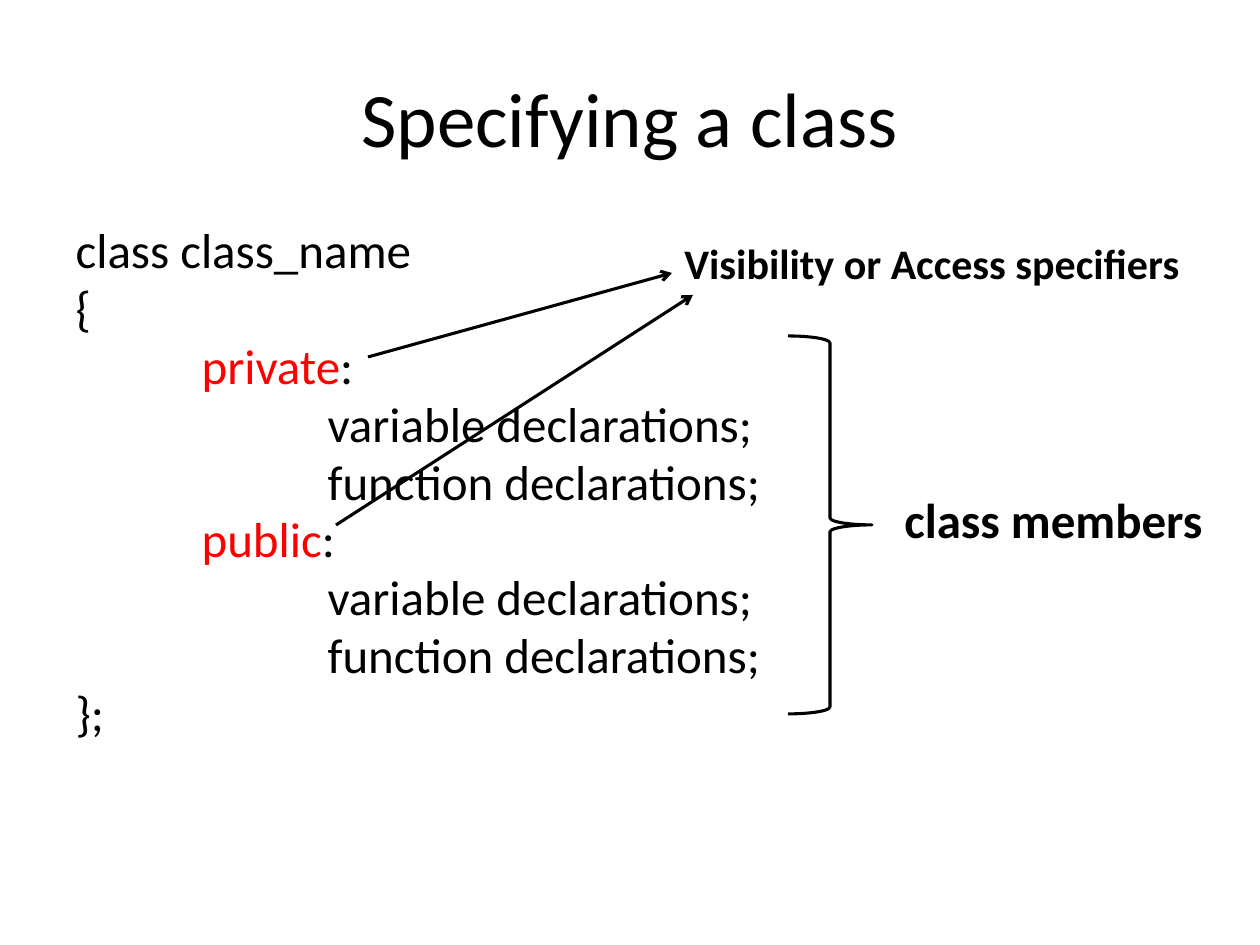
"""Builds a slide that explains how a class is specified."""
from lxml import etree
from pptx import Presentation, util as u
from pptx.dml.color import RGBColor
from pptx.enum import shapes, text
from pptx.oxml import ns

PIXEL = u.Inches(1) // 126
BLACK, RED = "000000", "FF0000"
TAB = 126


def color(value):
    return RGBColor.from_string(value)


def write(para, words, size=28, bold=False, ink=BLACK):
    span = para.add_run()
    span.text = words
    span.font.name = "Calibri"
    span.font.size = u.Pt(size)
    span.font.bold = bold
    span.font.color.rgb = color(ink)


deck = Presentation()
deck.slide_width, deck.slide_height = 1260 * PIXEL, 945 * PIXEL
page = deck.slides.add_slide(deck.slide_layouts[1])

title, body = page.placeholders
for box, top, height in ((title, 38, 157), (body, 220, 624)):
    box.left, box.top = 63 * PIXEL, top * PIXEL
    box.width, box.height = 1134 * PIXEL, height * PIXEL
    box.text_frame.auto_size = text.MSO_AUTO_SIZE.NONE

title.text_frame.vertical_anchor = text.MSO_ANCHOR.MIDDLE
heading = title.text_frame.paragraphs[0]
heading.alignment = text.PP_ALIGN.CENTER
write(heading, "Specifying a class", size=44)

declarations = [(2, "", "variable declarations;"), (2, "", "function declarations;")]
code = [
    (0, "", "class class_name"),
    (0, "", "{"),
    (1, "private", ":"),
    *declarations,
    (1, "public", ":"),
    *declarations,
    (0, "", "};"),
]
for number, (depth, keyword, rest) in enumerate(code):
    frame = body.text_frame
    para = frame.add_paragraph() if number else frame.paragraphs[0]
    para.line_spacing = 0.9
    para.space_before = u.Pt(2.8)
    props = para._p.get_or_add_pPr()
    props.set("marL", str(depth * TAB * PIXEL))
    props.set("indent", "0")
    etree.SubElement(props, ns.qn("a:buNone"))
    if keyword:
        write(para, keyword, ink=RED)
    write(para, rest)

brace = page.shapes.add_shape(
    shapes.MSO_SHAPE.RIGHT_BRACE, 788 * PIXEL, 336 * PIXEL, 84 * PIXEL, 378 * PIXEL)
brace.shadow.inherit = False
brace.fill.background()
brace.line.color.rgb = color(BLACK)
brace.line.width = u.Pt(1.75)

for ends in ((368, 357, 672, 273), (336, 525, 693, 295)):
    arrow = page.shapes.add_connector(
        shapes.MSO_CONNECTOR.STRAIGHT, *(end * PIXEL for end in ends))
    arrow.line.color.rgb = color(BLACK)
    arrow.line.width = u.Pt(1.75)
    etree.SubElement(arrow.line._get_or_add_ln(), ns.qn("a:tailEnd"), type="arrow")
    etree.SubElement(arrow._element.spPr, ns.qn("a:effectLst"))

labels = [
    ("class members", 28, 892, 483, 328, 72),
    ("Visibility or Access specifiers", 24, 672, 231, 525, 63),
]
for words, size, *place in labels:
    label = page.shapes.add_textbox(*(length * PIXEL for length in place))
    label.text_frame.word_wrap = False
    label.text_frame.auto_size = text.MSO_AUTO_SIZE.SHAPE_TO_FIT_TEXT
    write(label.text_frame.paragraphs[0], words, size=size, bold=True)

deck.save("out.pptx")
